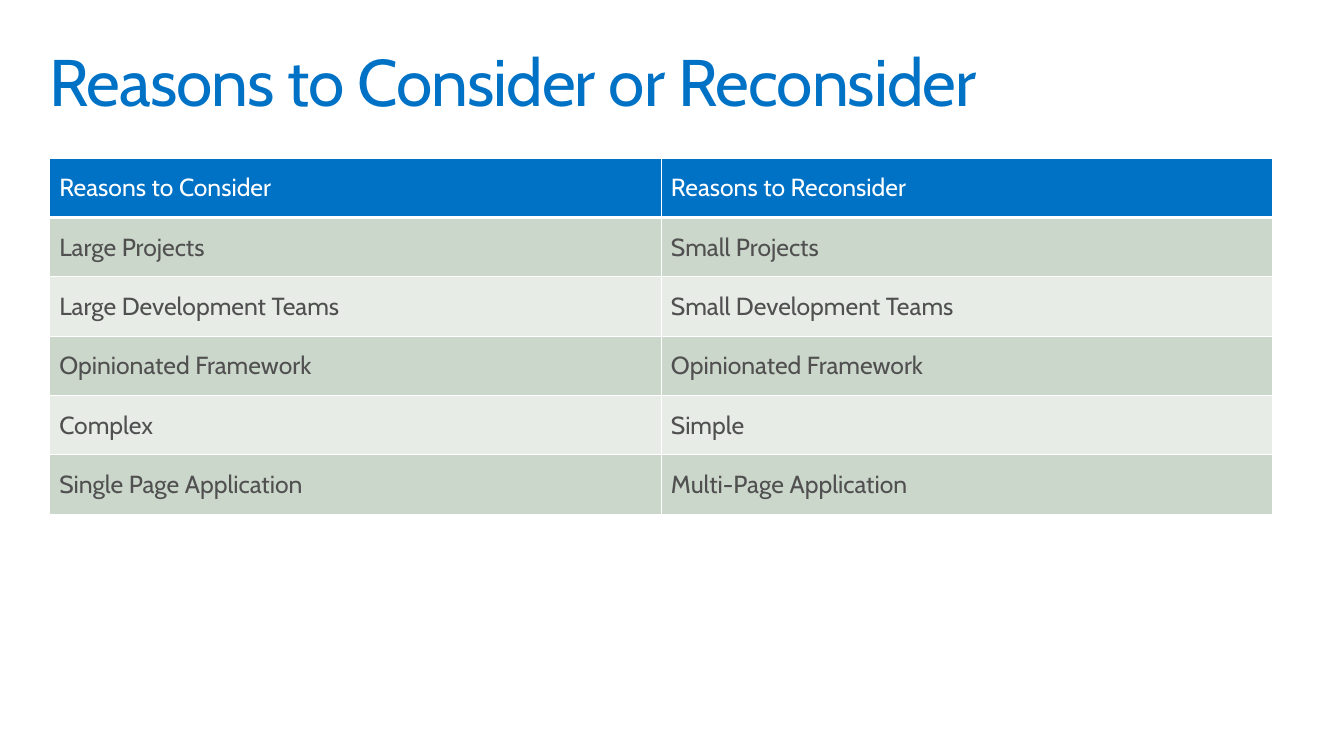
from dataclasses import dataclass

from lxml.etree import SubElement
from pptx import Presentation
from pptx.dml.color import RGBColor as Color
from pptx.enum.text import MSO_ANCHOR as Anchor
from pptx.oxml.ns import qn
from pptx.util import Inches, Pt


@dataclass(frozen=True)
class Theme:
    """Colours, font and type sizes of the slide."""
    font: str = "Cabin"
    accent: str = "0072C6"
    text: str = "505050"
    white: str = "FFFFFF"
    bands: tuple = ("CCD7CC", "E7ECE7")
    title_size: int = 48
    table_size: int = 18


class SlideBuilder:
    """Adds styled elements to one slide."""

    def __init__(self, slide, theme):
        self.slide = slide
        self.theme = theme

    def format_runs(self, paragraph, size, color):
        """Apply the font, size and colour to every run."""
        for run in paragraph.runs:
            run.font.name = self.theme.font
            run.font.size = Pt(size)
            run.font.color.rgb = Color.from_string(color)

    def add_title(self, text, left, top, width, height):
        """Add the slide title with tightened letter spacing."""
        shape = self.slide.shapes.add_textbox(
            Inches(left), Inches(top), Inches(width), Inches(height))
        frame = shape.text_frame
        frame.word_wrap = True
        frame.vertical_anchor = Anchor.TOP
        frame.margin_left = frame.margin_right = Inches(0.1)
        frame.margin_top = frame.margin_bottom = Inches(0.1)
        frame.text = text
        paragraph = frame.paragraphs[0]
        paragraph.line_spacing = 0.9
        self.format_runs(paragraph, self.theme.title_size, self.theme.accent)
        paragraph.runs[0].font._element.set("spc", "-70")

    def add_border(self, cell, side, width):
        """Draw one white edge of a cell."""
        properties = cell._tc.get_or_add_tcPr()
        line = SubElement(properties, qn(f"a:ln{side}"), w=str(Pt(width)))
        fill = SubElement(line, qn("a:solidFill"))
        SubElement(fill, qn("a:srgbClr"), val=self.theme.white)

    def style_cell(self, cell, row):
        """Format a cell as header or as part of an alternating band."""
        theme = self.theme
        header = row == 0
        cell.margin_left = cell.margin_right = Inches(0.1)
        cell.margin_top = cell.margin_bottom = Inches(0.15)
        widths = {"L": 1, "R": 1, "T": 3 if row == 1 else 1, "B": 3 if header else 1}
        for side, width in widths.items():
            self.add_border(cell, side, width)
        cell.fill.solid()
        cell.fill.fore_color.rgb = Color.from_string(
            theme.accent if header else theme.bands[(row - 1) % 2])
        color = theme.white if header else theme.text
        paragraph = cell.text_frame.paragraphs[0]
        self.format_runs(paragraph, theme.table_size, color)
        for run in paragraph.runs:
            run.font.bold = False

    def add_table(self, rows, left, top, width, row_height):
        """Add a table with equal columns and equal rows."""
        table = self.slide.shapes.add_table(
            len(rows), len(rows[0]), Inches(left), Inches(top),
            Inches(width), Inches(row_height * len(rows))).table
        for row, texts in enumerate(rows):
            for column, text in enumerate(texts):
                cell = table.cell(row, column)
                cell.text_frame.text = text
                self.style_cell(cell, row)


REASONS = [
    ("Reasons to Consider", "Reasons to Reconsider"),
    ("Large Projects", "Small Projects"),
    ("Large Development Teams", "Small Development Teams"),
    ("Opinionated Framework", "Opinionated Framework"),
    ("Complex", "Simple"),
    ("Single Page Application", "Multi-Page Application"),
]


def main():
    """Build and save the presentation."""
    presentation = Presentation()
    presentation.slide_width = Inches(13.6)
    presentation.slide_height = Inches(7.65)
    slide = presentation.slides.add_slide(presentation.slide_layouts[6])
    builder = SlideBuilder(slide, Theme())
    builder.add_title("Reasons to Consider or Reconsider", 0.4, 0.4, 12.8, 1)
    builder.add_table(REASONS, 0.5, 1.6, 12.38, 0.6)
    presentation.save("out.pptx")


if __name__ == "__main__":
    main()
